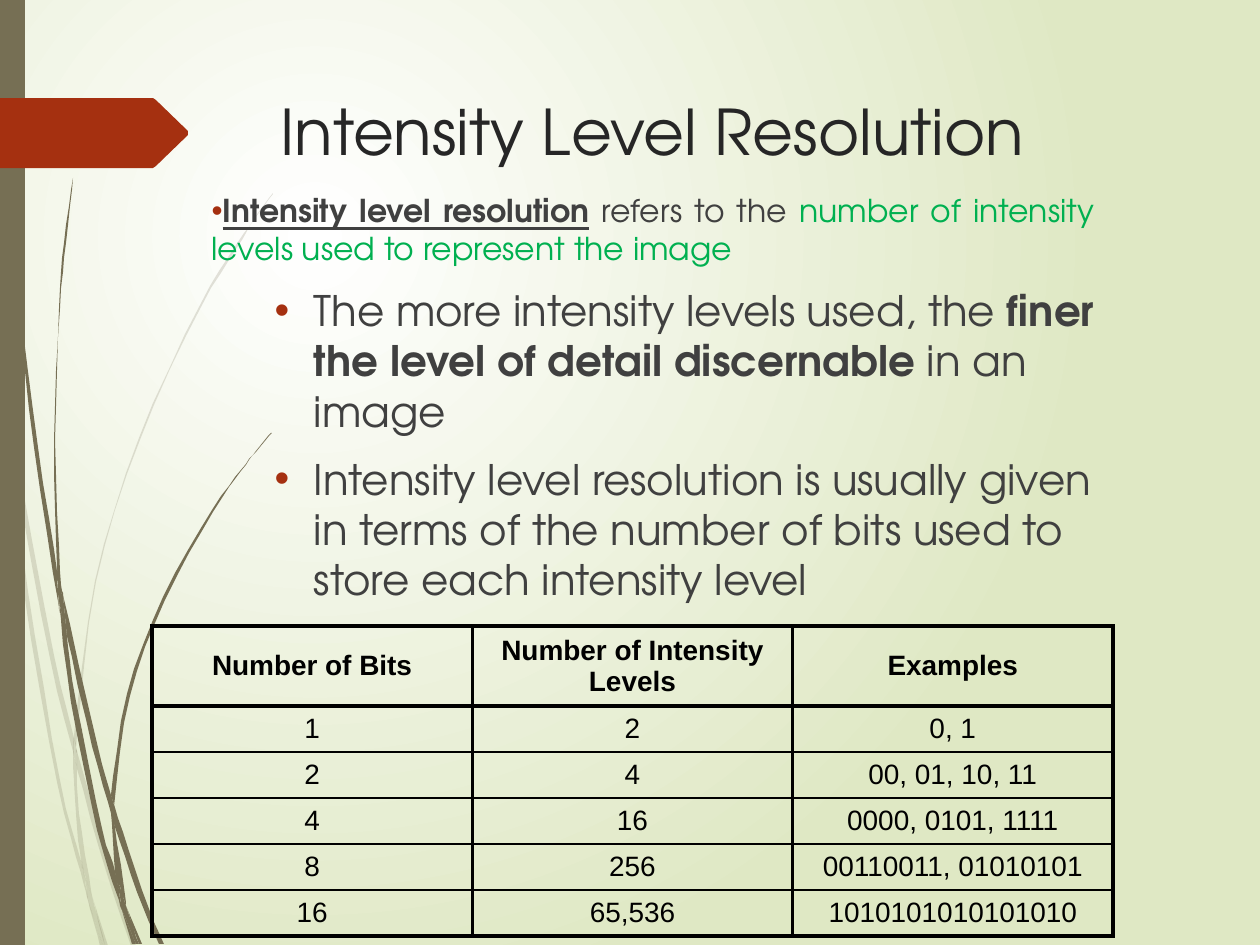
from lxml import etree
from pptx import Presentation, util as u
from pptx.dml.color import RGBColor
from pptx.enum import shapes, text
from pptx.oxml import parse_xml
from pptx.oxml.ns import nsdecls, qn

PX = u.Inches(1) / 126
FONT = "TeX Gyre Adventor"
WHITE = RGBColor(0xFF, 0xFF, 0xFF)
PALE = RGBColor(0xDF, 0xE8, 0xC4)
OLIVE = RGBColor(0x76, 0x6F, 0x54)
RUST = RGBColor(0xA5, 0x30, 0x10)
DARK = RGBColor(0x26, 0x26, 0x26)
GREY = RGBColor(0x40, 0x40, 0x40)
GREEN = RGBColor(0x00, 0xB0, 0x50)
BLACK = RGBColor(0, 0, 0)

# Each blade piece has two edges, together running once around its outline.
FAINT = [
    ([(10, 441), (8, 406), (0, 355)], [(0, 377), (9, 433)]),
    ([(13, 435), (54, 655), (74, 738)], [(74, 755), (50, 658), (15, 474)]),
    ([(77, 769), (107, 874), (131, 946)],
     [(136, 946), (111, 872), (81, 765), (77, 751)]),
    ([(92, 896), (105, 946)], [(108, 946)]),
    ([(10, 441), (24, 592), (57, 782), (81, 873), (88, 900)],
     [(87, 891), (81, 861), (60, 780), (28, 591), (15, 474)]),
    ([(73, 755), (76, 814), (81, 861), (84, 872), (92, 896)],
     [(91, 890), (79, 814), (77, 769), (77, 766)]),
    ([(74, 738), (74, 736), (95, 581), (139, 438), (199, 307), (234, 248),
      (253, 221), (273, 193)],
     [(273, 194), (253, 221), (236, 249), (200, 309), (140, 440), (96, 582),
      (77, 736), (77, 751)]),
    ([(88, 900), (100, 946)], [(103, 946)]),
    ([(73, 755), (77, 766), (77, 769)], [(77, 751), (74, 738)]),
    ([(82, 861), (87, 891), (88, 900), (103, 946)],
     [(105, 946), (92, 896), (84, 872)]),
]
SOLID = [
    ([(3, 0), (4, 60), (6, 139), (18, 294), (34, 447), (58, 601), (59, 606)],
     [(57, 576), (57, 571), (38, 447), (19, 292), (8, 137), (5, 60), (4, 0)]),
    ([(63, 595), (97, 743), (111, 795), (111, 798)],
     [(111, 813), (92, 746), (67, 636)]),
    ([(115, 827), (137, 892), (159, 944)],
     [(164, 944), (142, 890), (118, 818), (115, 808)]),
    ([(59, 601), (71, 702), (97, 830), (116, 892), (122, 910)],
     [(121, 903), (115, 871), (102, 828), (76, 701), (67, 636)]),
    ([(63, 595), (60, 571), (55, 440), (60, 309), (66, 243), (73, 178)],
     [(73, 178), (64, 243), (59, 309), (54, 440), (57, 566), (62, 595)]),
    ([(126, 906), (139, 944)], [(142, 944)]),
    ([(57, 566), (57, 571), (59, 601), (67, 636)], [(63, 595), (62, 595)]),
    ([(115, 808), (115, 798), (130, 696), (165, 600), (213, 512), (241, 471),
      (256, 452), (272, 433)],
     [(271, 433), (256, 451), (241, 470), (212, 510), (163, 597), (127, 694),
      (111, 795)]),
    ([(122, 910), (132, 944)], [(136, 944)]),
    ([(111, 813), (115, 871), (121, 890), (126, 906)],
     [(126, 902), (115, 827), (113, 820)]),
    ([(111, 798), (111, 813), (113, 820), (115, 827)], [(115, 808), (111, 795)]),
    ([(115, 871), (121, 903), (122, 910), (136, 944)],
     [(139, 944), (126, 906), (121, 890)]),
]
ARROW = [(188, 135), (156, 166), (153, 168), (0, 168),
         (0, 98), (153, 98), (156, 100), (188, 131)]

# Runs: words, colour, bold, underlined
LEAD = [("Intensity level resolution", GREY, True, True),
        (" ", GREY, True, False),
        ("refers to the ", GREY, False, False),
        ("number of intensity levels used to represent the image",
         GREEN, False, False)]
FINER = [("The more intensity levels used, the ", GREY, False, False),
         ("finer the level of detail discernable", GREY, True, False),
         (" in an image", GREY, False, False)]
BITS = [("Intensity level resolution is usually given in terms of the number "
         "of bits used to store each intensity level", GREY, False, False)]
ROWS = [("Number of Bits", "Number of Intensity Levels", "Examples"),
        ("1", "2", "0, 1"),
        ("2", "4", "00, 01, 10, 11"),
        ("4", "16", "0000, 0101, 1111"),
        ("8", "256", "00110011, 01010101"),
        ("16", "65,536", "1010101010101010")]


def px(n):
    return u.Emu(round(n * PX))


def place(shape, *box):
    shape.left, shape.top, shape.width, shape.height = map(px, box)


def style(font, name, size, color, bold=False, under=False):
    font.name, font.size, font.color.rgb = name, u.Pt(size), color
    font.bold, font.underline = bold, under


def backdrop(slide):
    """White glow at the upper left fading to pale green."""
    fill = slide.background.fill
    fill.gradient()
    for stop, color, pos in zip(fill.gradient_stops, (WHITE, PALE), (0, 1)):
        stop.color.rgb, stop.position = color, pos
    grad = next(slide.background._cSld.iter(qn("a:gradFill")))
    grad.replace(grad.find(qn("a:lin")), parse_xml(
        f'<a:path {nsdecls("a")} path="circle"><a:fillToRect l="50000" '
        't="50000" r="100000" b="100000"/></a:path>'))


def paint(shape, color):
    shape.shadow.inherit = False
    shape.fill.solid()
    shape.fill.fore_color.rgb = color
    shape.line.fill.background()


def outline(parent, points, color):
    pen = parent.build_freeform(*points[0], scale=PX)
    pen.add_line_segments(points[1:], close=True)
    shape = pen.convert_to_shape()
    paint(shape, color)
    return shape


def smooth(points, steps=4):
    """Catmull-Rom curve through the points."""
    pts = [points[0], *points, points[-1]]
    curve = [points[0]]
    for a, b, c, d in zip(pts, pts[1:], pts[2:], pts[3:]):
        for t in (k / steps for k in range(1, steps + 1)):
            curve.append(tuple(
                (2 * q + (r - p) * t + (2 * p - 5 * q + 4 * r - s) * t ** 2
                 + (3 * q - p - 3 * r + s) * t ** 3) / 2
                for p, q, r, s in zip(a, b, c, d)))
    return curve


def grass(slide, blades, alpha=100):
    group = slide.shapes.add_group_shape().shapes
    for near, far in blades:
        blade = outline(group, smooth(near) + smooth(far), OLIVE)
        if alpha < 100:
            tint = next(blade.element.spPr.iter(qn("a:srgbClr")))
            etree.SubElement(tint, qn("a:alpha"), val=str(alpha * 1000))


def heading(shape):
    place(shape, 268, 86, 908, 176)
    frame = shape.text_frame
    frame.text = "Intensity Level Resolution"
    frame.vertical_anchor = text.MSO_ANCHOR.TOP
    frame.auto_size = text.MSO_AUTO_SIZE.NONE
    para = frame.paragraphs[0]
    para.alignment = text.PP_ALIGN.LEFT
    style(para.runs[0].font, FONT, 36, DARK)


def bullet(para, runs, size, left=0, hang=0):
    props = para._p.get_or_add_pPr()
    props.set("marL", str(px(left)))
    props.set("indent", str(-px(hang)))
    for xml in (f'<a:buClr {nsdecls("a")}><a:srgbClr val="{RUST}"/></a:buClr>',
                f'<a:buFont {nsdecls("a")} typeface="Arial"/>',
                f'<a:buChar {nsdecls("a")} char="•"/>'):
        props.append(parse_xml(xml))
    for words, color, bold, under in runs:
        run = para.add_run()
        run.text = words
        style(run.font, FONT, size, color, bold, under)


def points(shape):
    place(shape, 199, 185, 908, 421)
    frame = shape.text_frame
    frame.auto_size = text.MSO_AUTO_SIZE.NONE
    lead = frame.paragraphs[0]
    bullet(lead, LEAD, 18)
    lead.alignment = text.PP_ALIGN.JUSTIFY
    lead.space_before = u.Pt(0)
    for runs in (FINER, BITS):
        para = frame.add_paragraph()
        para.level = 1
        bullet(para, runs, 24, 102, 39)
        para.space_before = u.Pt(10)


def edge(cell, side, width):
    cell._tc.get_or_add_tcPr().append(parse_xml(
        f'<a:ln{side} {nsdecls("a")} w="{u.Pt(width)}"><a:solidFill>'
        f'<a:srgbClr val="{BLACK}"/></a:solidFill></a:ln{side}>'))


def grid(slide):
    last = len(ROWS) - 1
    table = slide.shapes.add_table(len(ROWS), 3, px(152), px(626),
                                   px(961), px(310)).table
    table.first_row = table.horz_banding = False
    for i, row in enumerate(ROWS):
        table.rows[i].height = px(46 if i else 80)
        for j, words in enumerate(row):
            cell = table.cell(i, j)
            cell.text = words
            cell.vertical_anchor = text.MSO_ANCHOR.MIDDLE
            para = cell.text_frame.paragraphs[0]
            para.alignment = text.PP_ALIGN.CENTER
            style(para.runs[0].font, "Arial", 16, BLACK, i == 0)
            top = 2.25 if i < 2 else 1
            base = 2.25 if i in (0, last) else 1
            for side, width in zip("LRTB", (2.25, 2.25, top, base)):
                edge(cell, side, width)
            cell.fill.background()


def main():
    deck = Presentation()
    deck.slide_width, deck.slide_height = px(1260), px(945)
    slide = deck.slides.add_slide(deck.slide_layouts[1])
    title, body = slide.placeholders
    backdrop(slide)
    grass(slide, FAINT, 20)
    grass(slide, SOLID)
    band = slide.shapes.add_shape(shapes.MSO_SHAPE.RECTANGLE,
                                  0, 0, px(25), px(945))
    paint(band, OLIVE)
    outline(slide.shapes, ARROW, RUST)
    heading(title)
    points(body)
    for shape in (title, body):
        slide.shapes.element.append(shape.element)
    grid(slide)
    deck.save("out.pptx")


if __name__ == "__main__":
    main()
